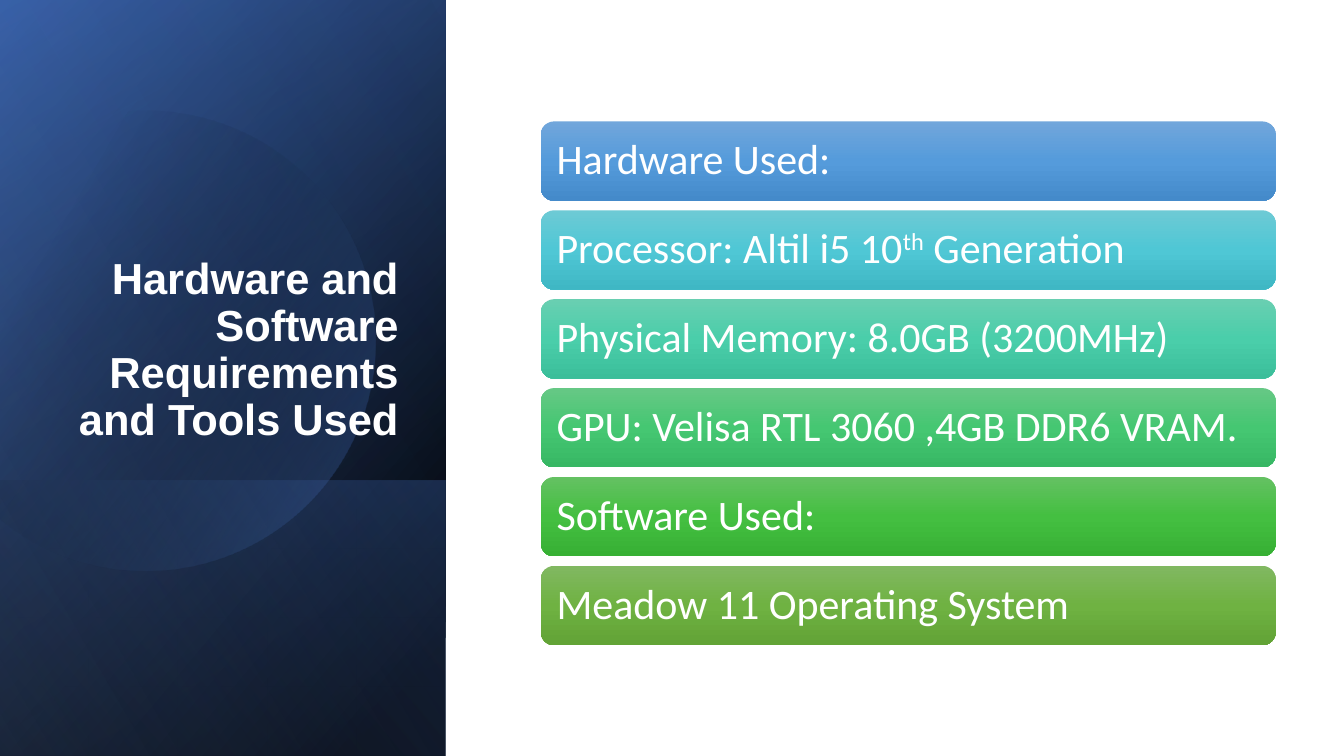
"""Build the hardware and software requirements slide."""
from lxml import etree
from pptx import Presentation
from pptx.dml.color import RGBColor
from pptx.enum.shapes import MSO_SHAPE
from pptx.enum.text import MSO_ANCHOR, PP_ALIGN
from pptx.oxml.ns import qn
from pptx.util import Cm, Pt

RECTANGLE = MSO_SHAPE.RECTANGLE
ROUNDED = MSO_SHAPE.ROUNDED_RECTANGLE
CHORD = MSO_SHAPE.CHORD
MIDDLE, BOTTOM = MSO_ANCHOR.MIDDLE, MSO_ANCHOR.BOTTOM
LEFT, RIGHT = PP_ALIGN.LEFT, PP_ALIGN.RIGHT


def paint(shape, stops, angle):
    """Fill a shape with a gradient of (position, colour, opacity) stops in percent."""
    shape.shadow.inherit = False
    shape.line.fill.background()
    shape.fill.gradient()
    gradient = shape._element.spPr.find(qn("a:gradFill"))
    for child in list(gradient):
        gradient.remove(child)
    stop_list = etree.SubElement(gradient, qn("a:gsLst"))
    for position, colour, opacity in stops:
        stop = etree.SubElement(stop_list, qn("a:gs"), pos=str(position * 1000))
        color = etree.SubElement(stop, qn("a:srgbClr"), val=colour)
        if opacity < 100:
            etree.SubElement(color, qn("a:alpha"), val=str(opacity * 1000))
    etree.SubElement(gradient, qn("a:lin"), ang=str(angle * 60000), scaled="0")


def write(paragraph, text, font_name, size, bold=False):
    """Add one white run to a paragraph."""
    run = paragraph.add_run()
    run.text = text
    run.font.name = font_name
    run.font.size = Pt(size)
    run.font.bold = bold
    run.font.color.rgb = RGBColor.from_string("FFFFFF")
    return run


presentation = Presentation()
presentation.slide_width = Cm(33.87)
presentation.slide_height = Cm(19.05)
slide = presentation.slides.add_slide(presentation.slide_layouts[6])

slide_height = 19.05
panel_width = 11.23
disc_position = 3
panels = [
    (19.05, [(8, "000000", 100), (100, "2F5597", 100)], 50),
    (19.05, [(0, "000000", 0), (99, "4472C4", 46)], 30),
    (6.95, [(2, "4472C4", 29), (100, "000000", 30)], 130),
    (19.05, [(0, "000000", 0), (99, "8FAADC", 11)], 120),
]
for index, (length, stops, angle) in enumerate(panels):
    if index == disc_position:
        disc = slide.shapes.add_shape(CHORD, Cm(-2.14), Cm(2.78), Cm(11.6), Cm(11.6))
        disc.adjustments[0] = 226 * 0.6
        disc.adjustments[1] = 134 * 0.6
        paint(disc, [(29, "000000", 0), (100, "4472C4", 43)], 30)
    panel = slide.shapes.add_shape(
        RECTANGLE,
        Cm((panel_width - length) / 2),
        Cm(slide_height - (length + panel_width) / 2),
        Cm(length), Cm(panel_width))
    panel.rotation = 90
    panel._element.spPr.find(qn("a:xfrm")).set("flipH", "1")
    paint(panel, stops, angle)

title = slide.shapes.add_textbox(Cm(1.63), Cm(4.68), Cm(8.66), Cm(6.65))
title.text_frame.word_wrap = True
title.text_frame.vertical_anchor = BOTTOM
paragraph = title.text_frame.paragraphs[0]
paragraph.alignment = RIGHT
paragraph.line_spacing = 0.9
write(paragraph, "Hardware and Software Requirements and Tools Used", "Arial", 31, True)

cards = [
    (["Hardware Used:"], ("71A6DB", "559BDB", "448ACA")),
    (["Processor: Altil i5 10", "th", " Generation"], ("6DCAD5", "4FC7D5", "3FB7C4")),
    (["Physical Memory: 8.0GB (3200MHz)"], ("69CFB1", "4ACEAA", "3BBE9A")),
    (["GPU: Velisa RTL 3060 ,4GB DDR6 VRAM."], ("66C885", "45C772", "37B764")),
    (["Software Used:"], ("64C162", "44BF41", "37B034")),
    (["Meadow 11 Operating System"], ("81B861", "6FB242", "62A336")),
]
for row, (texts, colours) in enumerate(cards):
    card = slide.shapes.add_shape(
        ROUNDED, Cm(13.63), Cm(3.06 + 2.24 * row), Cm(18.52), Cm(2))
    paint(card, [(50 * step, colour, 100) for step, colour in enumerate(colours)], 90)
    frame = card.text_frame
    frame.word_wrap = True
    frame.vertical_anchor = MIDDLE
    frame.margin_left = frame.margin_right = Cm(0.3)
    frame.margin_top = frame.margin_bottom = Cm(0.3)
    paragraph = frame.paragraphs[0]
    paragraph.alignment = LEFT
    paragraph.line_spacing = 0.9
    for text in texts:
        run = write(paragraph, text, "Calibri", 30)
        if text == "th":
            run.font._element.set("baseline", "30000")

presentation.save("out.pptx")
